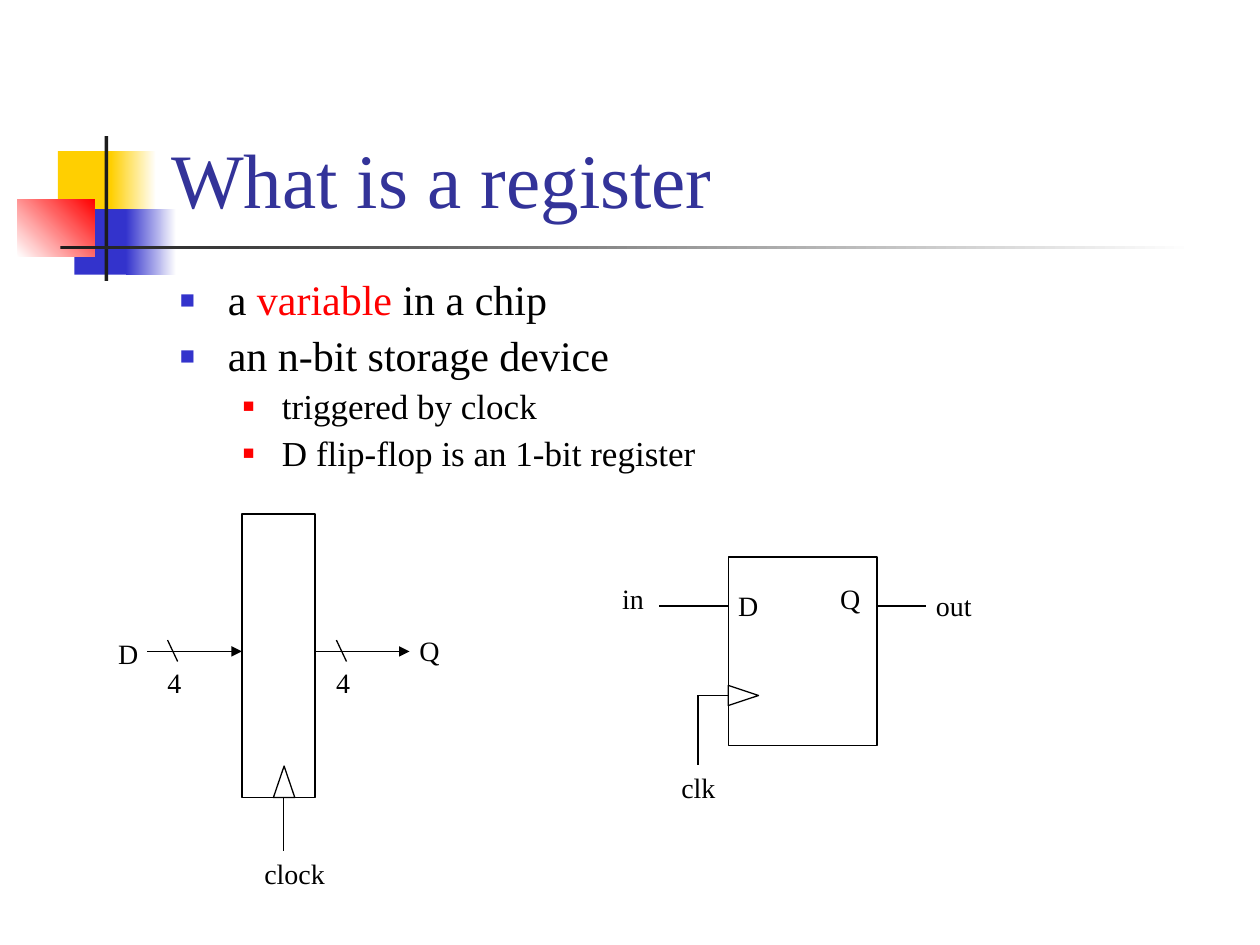
from dataclasses import dataclass

from lxml.etree import SubElement
from pptx import Presentation
from pptx.dml.color import RGBColor
from pptx.enum.shapes import MSO_CONNECTOR, MSO_SHAPE
from pptx.enum.text import MSO_ANCHOR, MSO_AUTO_SIZE, PP_ALIGN
from pptx.oxml.ns import qn
from pptx.util import Inches, Pt


@dataclass(frozen=True)
class Theme:
    font: str = "Times New Roman"
    title: str = "333399"
    ink: str = "000000"
    paper: str = "FFFFFF"
    yellow: str = "FFCF01"
    blue: str = "3333CC"
    red: str = "FF0000"
    bar: str = "1C1C1C"
    title_size: int = 44
    body_size: int = 24
    sub_size: int = 20
    label_size: int = 16
    line_width: float = 0.75


THEME = Theme()
LABEL_HEIGHT = 0.37
# Bullet styles by level: text size, bullet colour, bullet %, indent, hanging, space before
BULLETS = (
    (THEME.body_size, THEME.blue, 60, 0.38, 0.38, 6),
    (THEME.sub_size, THEME.red, 55, 0.81, 0.31, 5),
)


def rgb(value):
    return RGBColor.from_string(value)


def apply(target, formats):
    for name, value in formats.items():
        setattr(target, name, value)


def add_run(paragraph, text, size, color):
    run = paragraph.add_run()
    run.text = text
    apply(run.font, {"name": THEME.font, "size": Pt(size)})
    run.font.color.rgb = rgb(color)


def add_text_frame(shapes, box, formats):
    frame = shapes.add_textbox(*map(Inches, box)).text_frame
    apply(frame, formats)
    return frame


def add_label(shapes, text, x, y, width):
    frame = add_text_frame(shapes, (x, y, width, LABEL_HEIGHT), {
        "word_wrap": False, "auto_size": MSO_AUTO_SIZE.SHAPE_TO_FIT_TEXT})
    add_run(frame.paragraphs[0], text, THEME.label_size, THEME.ink)


def add_outline(shapes, preset, box, rotation=0):
    outline = shapes.add_shape(preset, *map(Inches, box))
    outline.rotation = rotation
    outline.shadow.inherit = False
    outline.fill.background()
    outline.line.color.rgb = rgb(THEME.ink)
    outline.line.width = Pt(THEME.line_width)


def add_wire(shapes, start, end, arrow=False):
    wire = shapes.add_connector(MSO_CONNECTOR.STRAIGHT, *map(Inches, start + end))
    wire.line.color.rgb = rgb(THEME.ink)
    wire.line.width = Pt(THEME.line_width)
    if arrow:
        SubElement(wire.line._get_or_add_ln(), qn("a:tailEnd"), type="triangle")
    SubElement(wire._element.spPr, qn("a:effectLst"))


def add_ornament(shapes, box):
    """Coloured squares and the crossing bars beside the title."""
    left, top = box
    # Offset x, y, width, height, colours, counter-clockwise gradient angle
    pieces = (
        (0.32, 0.12, 0.48, 0.52, (THEME.yellow,), 0),
        (0.74, 0.12, 0.36, 0.52, (THEME.yellow, THEME.paper), 0),
        (0.45, 0.58, 0.46, 0.52, (THEME.blue,), 0),
        (0.86, 0.58, 0.40, 0.52, (THEME.blue, THEME.paper), 0),
        (0.00, 0.50, 0.61, 0.46, (THEME.paper, THEME.red), 45),
        (0.69, 0.00, 0.03, 1.15, (THEME.bar,), 0),
        (0.34, 0.87, 9.00, 0.03, (THEME.bar, THEME.paper), 0),
    )
    for x, y, width, height, colors, angle in pieces:
        piece = shapes.add_shape(MSO_SHAPE.RECTANGLE, *map(
            Inches, (left + x, top + y, width, height)))
        piece.shadow.inherit = False
        piece.line.fill.background()
        if len(colors) == 1:
            piece.fill.solid()
            piece.fill.fore_color.rgb = rgb(colors[0])
            continue
        piece.fill.gradient()
        piece.fill.gradient_angle = angle
        for stop, color in zip(piece.fill.gradient_stops, colors):
            stop.color.rgb = rgb(color)


def add_title(shapes, box, text):
    frame = add_text_frame(shapes, box, {
        "word_wrap": True, "vertical_anchor": MSO_ANCHOR.BOTTOM})
    add_run(frame.paragraphs[0], text, THEME.title_size, THEME.title)


def add_bullets(shapes, box, items):
    frame = add_text_frame(shapes, box, {"word_wrap": True})
    for index, (level, runs) in enumerate(items):
        paragraph = frame.add_paragraph() if index else frame.paragraphs[0]
        size, color, percent, indent, hanging, before = BULLETS[level]
        apply(paragraph, {"level": level, "alignment": PP_ALIGN.LEFT,
                          "line_spacing": 0.9, "space_before": Pt(before)})
        props = paragraph._p.get_or_add_pPr()
        props.set("marL", str(Inches(indent)))
        props.set("indent", str(-Inches(hanging)))
        SubElement(SubElement(props, qn("a:buClr")), qn("a:srgbClr"), val=color)
        SubElement(props, qn("a:buSzPct"), val=str(percent * 1000))
        SubElement(props, qn("a:buFont"), typeface=THEME.font)
        SubElement(props, qn("a:buChar"), char="■")
        for text, text_color in runs:
            add_run(paragraph, text, size, text_color)


def add_register(shapes, box):
    """Four-bit register with its bus arrows and clock input."""
    left, top, width, height = box
    right, bottom = left + width, top + height
    bus_y = top + 1.09
    clock_x = left + 0.33
    add_outline(shapes, MSO_SHAPE.RECTANGLE, box)
    add_outline(shapes, MSO_SHAPE.ISOSCELES_TRIANGLE,
                (clock_x - 0.08, bottom - 0.25, 0.17, 0.25))
    # Each bus has an arrow, a slash and its width in bits
    for start, slash in ((left - 0.75, left - 0.59), (right, right + 0.17)):
        add_wire(shapes, (start, bus_y), (start + 0.75, bus_y), arrow=True)
        add_wire(shapes, (slash, bus_y - 0.09), (slash + 0.08, bus_y + 0.08))
        add_label(shapes, "4", slash - 0.1, bus_y + 0.06, 0.31)
    add_label(shapes, "D", left - 1.08, bus_y - 0.17, 0.36)
    add_label(shapes, "Q", right + 0.73, bus_y - 0.19, 0.36)
    # Clock
    add_wire(shapes, (clock_x, bottom), (clock_x, bottom + 0.42))
    add_label(shapes, "clock", clock_x - 0.25, bottom + 0.42, 0.68)


def add_flip_flop(shapes, box):
    """D flip-flop with its data wires and clock input."""
    left, top, width, height = box
    right = left + width
    data_y, clock_y = top + 0.39, top + 1.1
    clock_x, clock_end = left - 0.24, top + 1.65
    add_outline(shapes, MSO_SHAPE.RECTANGLE, box)
    add_outline(shapes, MSO_SHAPE.ISOSCELES_TRIANGLE,
                (left + 0.04, clock_y - 0.12, 0.16, 0.24), rotation=90)
    # Data in and out, then the bent clock wire
    for start, end in (
        ((right, data_y), (right + 0.39, data_y)),
        ((left, data_y), (left - 0.55, data_y)),
        ((left, clock_y), (clock_x, clock_y)),
        ((clock_x, clock_y), (clock_x, clock_end)),
    ):
        add_wire(shapes, start, end)
    for text, x, y, label_width in (
        ("D", left - 0.02, top + 0.2, 0.36),
        ("Q", right - 0.39, top + 0.15, 0.36),
        ("in", left - 0.94, top + 0.15, 0.37),
        ("out", right + 0.37, top + 0.2, 0.48),
        ("clk", clock_x - 0.23, clock_end, 0.47),
    ):
        add_label(shapes, text, x, y, label_width)


def main():
    deck = Presentation()
    apply(deck, {"slide_width": Inches(10), "slide_height": Inches(7.5)})
    shapes = deck.slides.add_slide(deck.slide_layouts[6]).shapes
    add_ornament(shapes, (0.14, 1.08))
    add_title(shapes, (1.26, 0.23, 8.52, 1.6), "What is a register")
    add_bullets(shapes, (1.33, 2.17, 8.5, 1.71), (
        (0, (("a ", THEME.ink), ("variable", THEME.red), (" in a chip", THEME.ink))),
        (0, (("an n-bit storage device", THEME.ink),)),
        (1, (("triggered by clock", THEME.ink),)),
        (1, (("D flip-flop is an 1-bit register", THEME.ink),)),
    ))
    add_register(shapes.add_group_shape().shapes, (1.92, 4.08, 0.58, 2.25))
    add_flip_flop(shapes.add_group_shape().shapes, (5.78, 4.42, 1.18, 1.5))
    deck.save("out.pptx")


if __name__ == "__main__":
    main()
